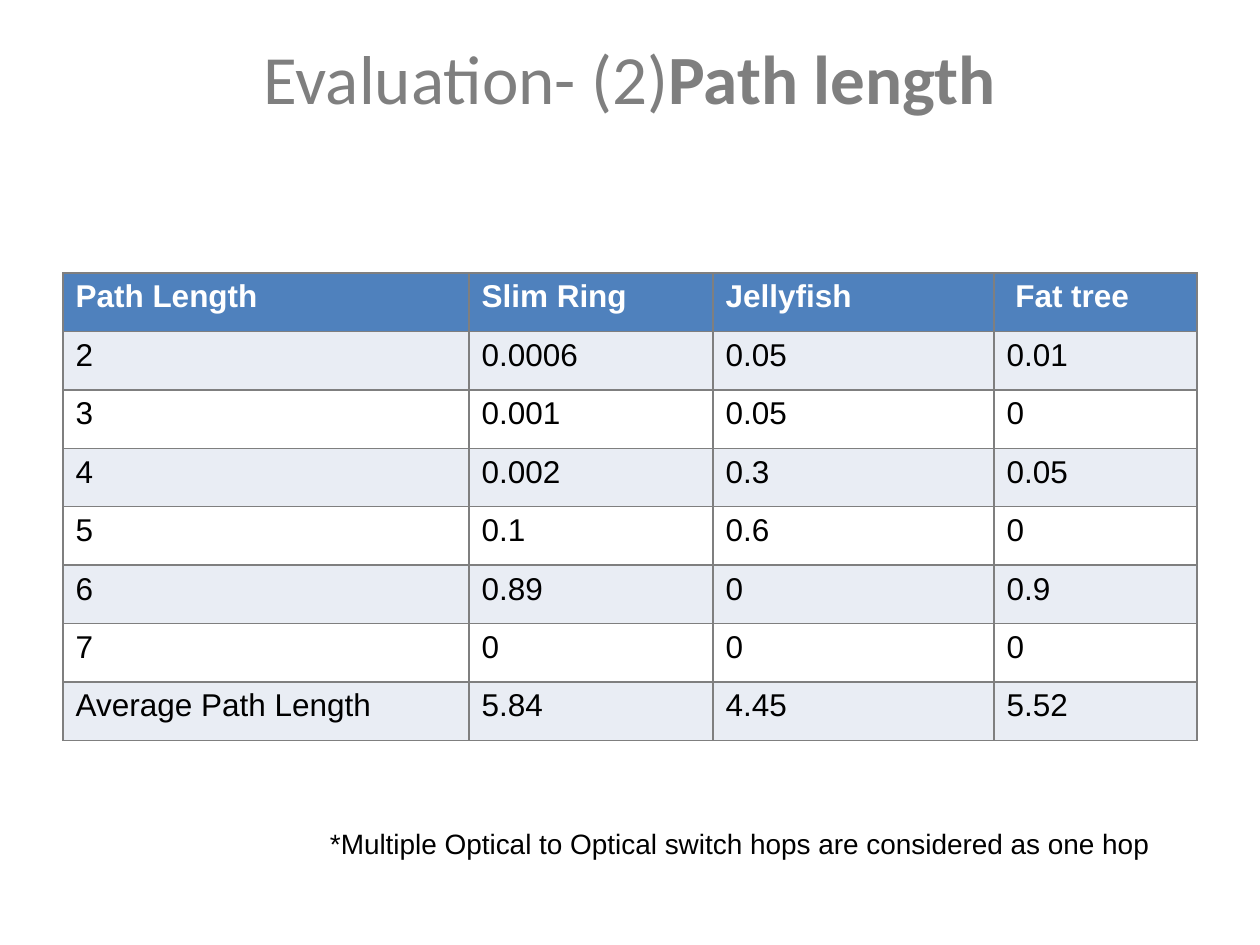
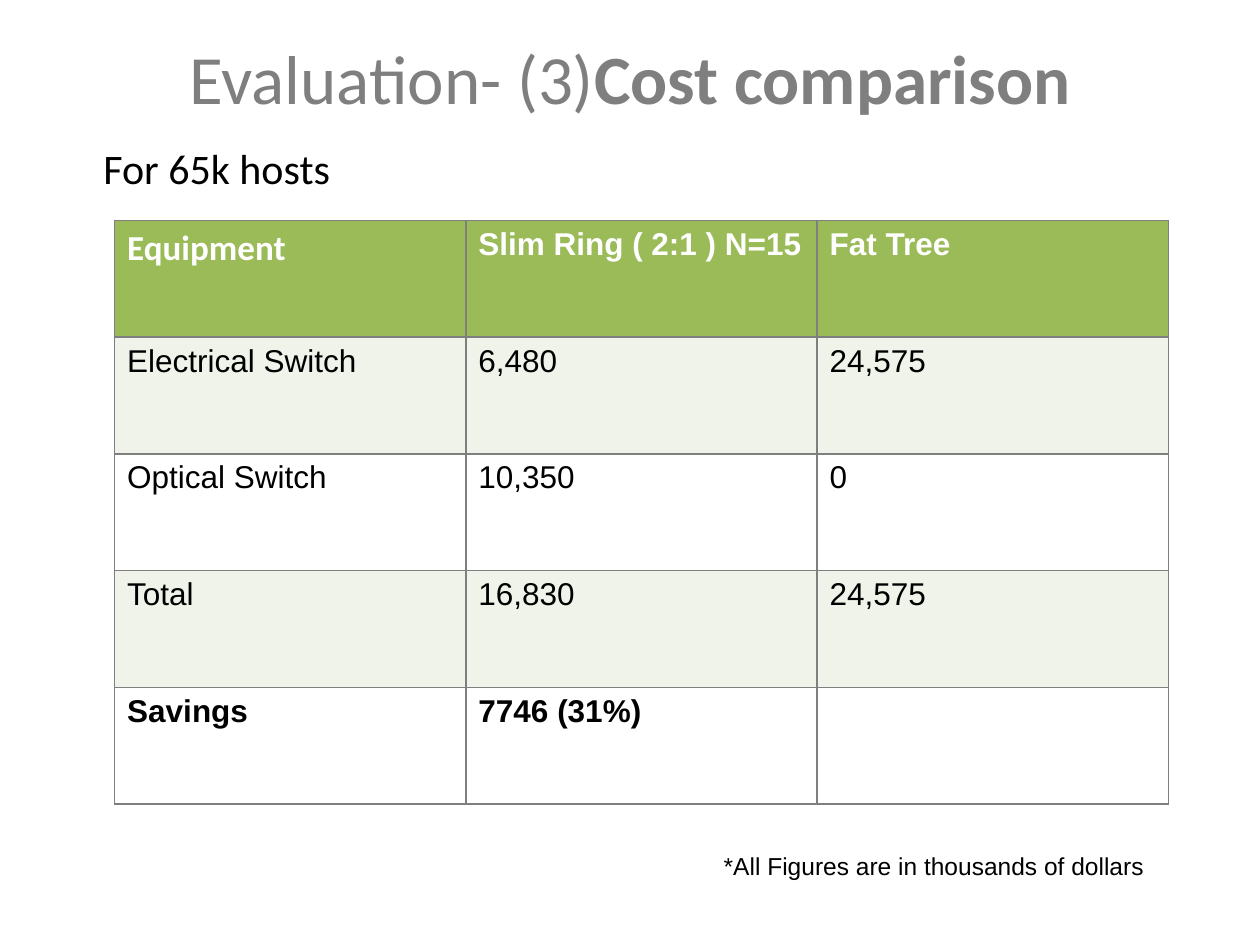
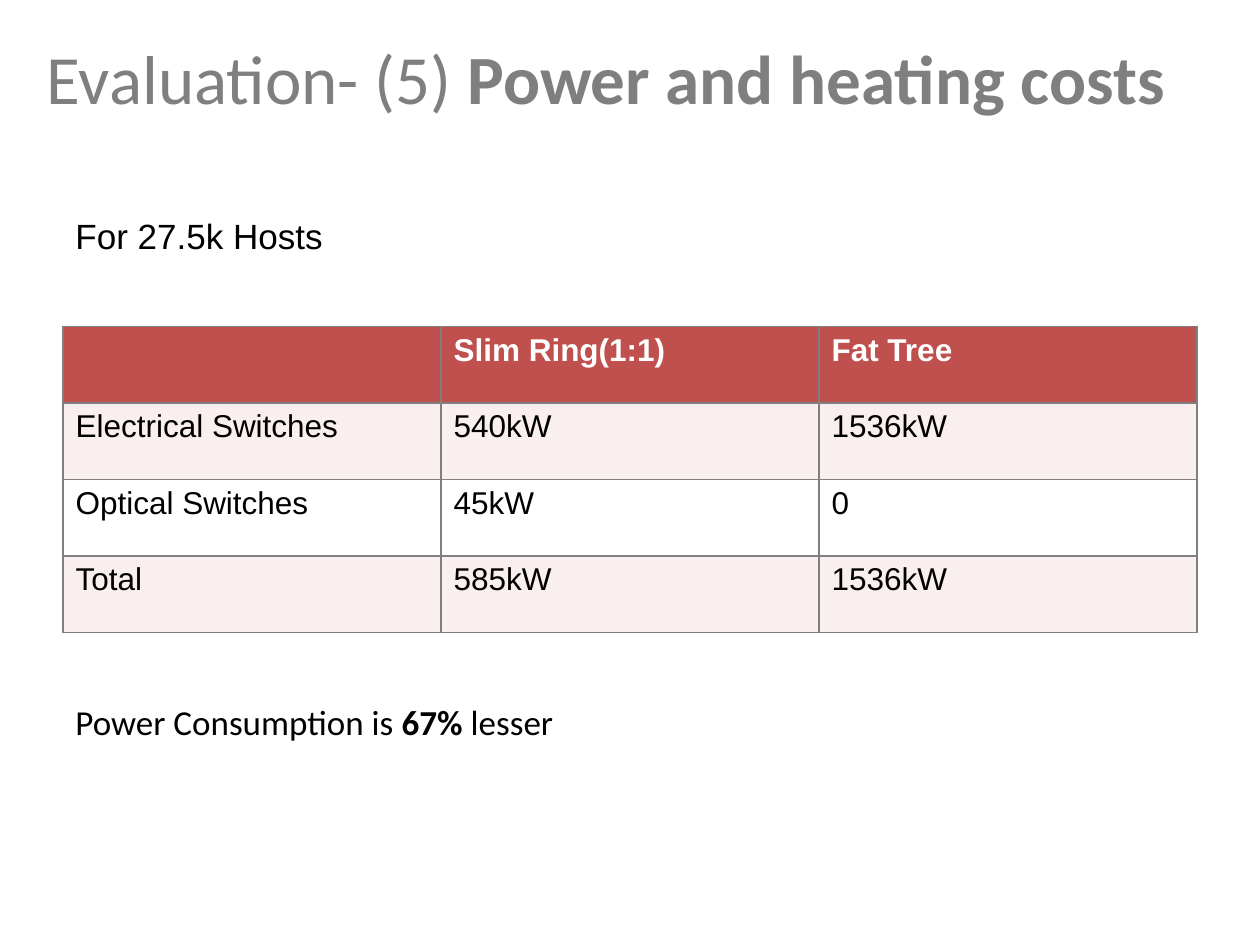
from dataclasses import dataclass
from typing import Any

from lxml.etree import SubElement
from pptx import Presentation
from pptx.dml.color import RGBColor as Color
from pptx.enum.text import MSO_ANCHOR as Anchor, MSO_AUTO_SIZE as AutoSize, PP_ALIGN as Align
from pptx.oxml.ns import qn
from pptx.util import Pt


# Shared look
@dataclass(frozen=True)
class Theme:
    heading_font: str = "Calibri"
    body_font: str = "Arial"
    title_size: float = 39.5
    lead_size: float = 24
    text_size: float = 20
    cell_size: float = 18
    note_size: float = 16
    small_note_size: float = 14
    grey: str = "7F7F7F"
    black: str = "000000"
    white: str = "FFFFFF"
    blue: str = "4F81BD"
    blue_band: str = "E9EDF4"
    green: str = "9BBB59"
    green_band: str = "EFF3EA"
    red: str = "C0504D"
    red_band: str = "F9EFEE"


THEME = Theme()


# Descriptions of the repeated elements
@dataclass(frozen=True)
class Span:
    text: str
    bold: bool = False


@dataclass(frozen=True)
class Style:
    size: float
    font: str = THEME.body_font
    color: str = THEME.black


@dataclass(frozen=True)
class Box:
    left: float
    top: float
    width: float
    height: float


@dataclass(frozen=True)
class Label:
    box: Box
    spans: tuple[Span, ...]
    style: Style
    align: Align = Align.LEFT
    wrap: bool = True
    fit: bool = True
    margin: float = 0
    hanging: float = 0
    top_inset: float = 3.6


@dataclass(frozen=True)
class Grid:
    left: float
    top: float
    columns: tuple[float, ...]
    row_height: float
    header_fill: str
    band_fill: str
    rows: tuple[tuple[str, ...], ...]
    bold_rows: tuple[int, ...] = (0,)
    heading_cells: tuple[tuple[int, int], ...] = ()


@dataclass(frozen=True)
class Page:
    topic: tuple[Span, ...]
    grid: Grid
    labels: tuple[Label, ...]
    title_left: float = 36


TITLE = Style(THEME.title_size, THEME.heading_font, THEME.grey)
LEAD = Style(THEME.lead_size, THEME.heading_font)
REMARK = Style(THEME.text_size, THEME.heading_font)
HOSTS = Style(THEME.text_size)
NOTE = Style(THEME.note_size)
SMALL_NOTE = Style(THEME.small_note_size)
TITLE_TOP, TITLE_RIGHT, TITLE_HEIGHT = 20, 684, 90


# Drawing
def apply(target: Any, values: dict[str, Any]) -> None:
    for name, value in values.items():
        setattr(target, name, value)


def write(para: Any, spans: tuple[Span, ...], style: Style) -> None:
    for span in spans:
        run = para.add_run()
        run.text = span.text
        apply(run.font, {"name": style.font, "size": Pt(style.size), "bold": span.bold})
        run.font.color.rgb = Color.from_string(style.color)


def draw_label(slide: Any, label: Label) -> None:
    box = label.box
    shape = slide.shapes.add_textbox(Pt(box.left), Pt(box.top), Pt(box.width), Pt(box.height))
    apply(shape.text_frame, {
        "word_wrap": label.wrap,
        "vertical_anchor": Anchor.TOP,
        "margin_top": Pt(label.top_inset),
        "auto_size": AutoSize.SHAPE_TO_FIT_TEXT if label.fit else AutoSize.NONE,
    })
    para = shape.text_frame.paragraphs[0]
    para.alignment = label.align
    if label.margin:
        properties = para._p.get_or_add_pPr()
        properties.set("marL", str(Pt(label.margin)))
        properties.set("indent", str(Pt(-label.hanging)))
    write(para, label.spans, label.style)


def draw_borders(cell: Any) -> None:
    properties = cell._tc.get_or_add_tcPr()
    for index, side in enumerate(("lnL", "lnR", "lnT", "lnB")):
        line = SubElement(properties, qn(f"a:{side}"), w=str(Pt(1)))
        fill = SubElement(line, qn("a:solidFill"))
        SubElement(fill, qn("a:srgbClr"), val=THEME.grey)
        properties.insert(index, line)


def draw_grid(slide: Any, grid: Grid) -> None:
    count = len(grid.rows)
    frame = slide.shapes.add_table(count, len(grid.columns), Pt(grid.left), Pt(grid.top),
                                   Pt(sum(grid.columns)), Pt(grid.row_height * count))
    table = frame.table
    for column, width in zip(table.columns, grid.columns):
        column.width = Pt(width)
    for r, texts in enumerate(grid.rows):
        table.rows[r].height = Pt(grid.row_height)
        row_fill = grid.header_fill if r == 0 else grid.band_fill if r % 2 else THEME.white
        color = THEME.black if r else THEME.white
        for c, text in enumerate(texts):
            cell = table.cell(r, c)
            cell.fill.solid()
            cell.fill.fore_color.rgb = Color.from_string(row_fill)
            draw_borders(cell)
            if text:
                style = Style(THEME.cell_size, color=color)
                if (r, c) in grid.heading_cells:
                    style = Style(THEME.text_size, THEME.heading_font, color)
                write(cell.text_frame.paragraphs[0], (Span(text, r in grid.bold_rows),), style)


def draw_page(deck: Any, page: Page) -> None:
    slide = deck.slides.add_slide(deck.slide_layouts[6])
    box = Box(page.title_left, TITLE_TOP, TITLE_RIGHT - page.title_left, TITLE_HEIGHT)
    draw_label(slide, Label(box, page.topic, TITLE, Align.CENTER, fit=False, top_inset=0))
    draw_grid(slide, page.grid)
    for label in page.labels:
        draw_label(slide, label)


# Content
PAGES = (
    Page(
        (Span("Evaluation- (2)"), Span("Path length", True)),
        Grid(36, 156, (232, 139.5, 160.5, 116), 33.4, THEME.blue, THEME.blue_band, (
            ("Path Length", "Slim Ring", "Jellyfish", " Fat tree"),
            ("2", "0.0006", "0.05", "0.01"),
            ("3", "0.001", "0.05", "0"),
            ("4", "0.002", "0.3", "0.05"),
            ("5", "0.1", "0.6", "0"),
            ("6", "0.89", "0", "0.9"),
            ("7", "0", "0", "0"),
            ("Average Path Length", "5.84", "4.45", "5.52"),
        )),
        (Label(Box(56, 468.5, 608, 26.6),
               (Span("*Multiple Optical to Optical switch hops are considered as one hop"),),
               NOTE, Align.RIGHT),),
    ),
    Page(
        (Span("Evaluation- (3)"), Span("Cost comparison", True)),
        Grid(65.5, 126, (200.7,) * 3, 66.7, THEME.green, THEME.green_band, (
            ("Equipment", "Slim Ring ( 2:1 ) N=15", "Fat Tree"),
            ("Electrical Switch", "6,480", "24,575"),
            ("Optical Switch", "10,350", "0"),
            ("Total", "16,830", "24,575"),
            ("Savings", "7746 (31%)", ""),
        ), bold_rows=(0, 4), heading_cells=((0, 0),)),
        (Label(Box(36, 78, 648, 405), (Span("For 65k hosts"),), LEAD,
               fit=False, margin=27, hanging=11),
         Label(Box(406.5, 482.5, 277.5, 24.5),
               (Span("*All Figures are in thousands of dollars"),), SMALL_NOTE)),
    ),
    Page(
        (Span("Evaluation- (5) "), Span("Power and heating costs", True)),
        Grid(36, 186.5, (216,) * 3, 43.75, THEME.red, THEME.red_band, (
            ("", "Slim Ring(1:1)", "Fat Tree"),
            ("Electrical Switches", "540kW", "1536kW"),
            ("Optical Switches", "45kW", "0"),
            ("Total", "585kW", "1536kW"),
        )),
        (Label(Box(36, 397, 411, 31.5),
               (Span("Power Consumption is "), Span("67%", True), Span(" lesser")), REMARK),
         Label(Box(36, 119, 157, 31.5), (Span("For 27.5k Hosts"),), HOSTS, wrap=False)),
        title_left=8.6,
    ),
)


def main() -> None:
    deck = Presentation()
    apply(deck, {"slide_width": Pt(720), "slide_height": Pt(540)})
    for page in PAGES:
        draw_page(deck, page)
    deck.save("out.pptx")


if __name__ == "__main__":
    main()
